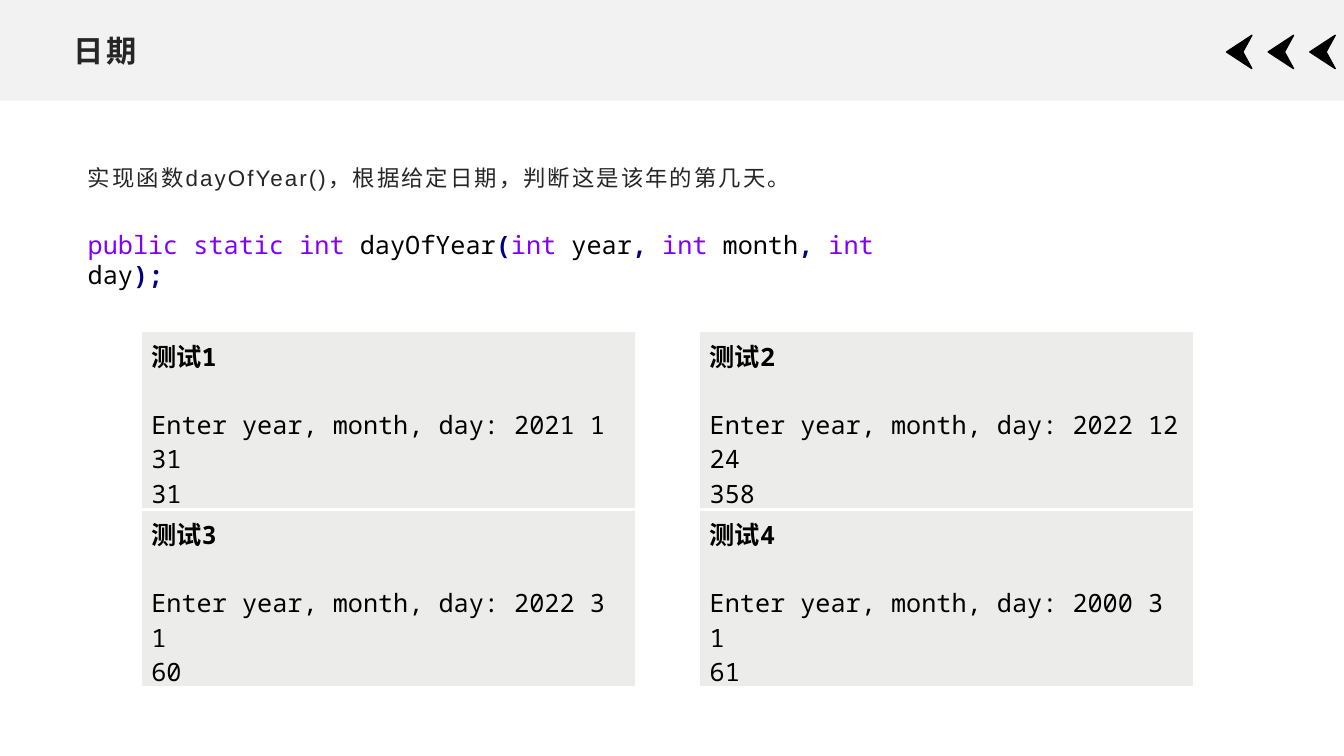
"""Build the slide that sets the day-of-year exercise with its four tests."""
from dataclasses import dataclass

from lxml.etree import SubElement
from pptx import Presentation
from pptx.dml.color import RGBColor
from pptx.enum.shapes import MSO_SHAPE
from pptx.enum.text import MSO_ANCHOR, MSO_AUTO_SIZE, PP_ALIGN
from pptx.oxml.ns import qn
from pptx.util import Cm, Pt


@dataclass(frozen=True)
class Theme:
    prose: str = "Arial"
    mono: str = "Noto Sans Mono"
    ink: RGBColor = RGBColor(0x26, 0x26, 0x26)
    black: RGBColor = RGBColor(0, 0, 0)
    keyword: RGBColor = RGBColor(0x80, 0, 0xFF)
    symbol: RGBColor = RGBColor(0, 0, 0x80)
    band: RGBColor = RGBColor(0xF2, 0xF2, 0xF2)
    panel: RGBColor = RGBColor(0xEC, 0xEC, 0xEA)
    border: str = "FFFFFF"
    title_size: Pt = Pt(21.6)
    task_size: Pt = Pt(16)
    code_size: Pt = Pt(18)


theme = Theme()


def set_font(paragraph, name, size, color, bold=False):
    """Format a whole paragraph."""
    font = paragraph.font
    font.name, font.size, font.bold = name, size, bold
    font.color.rgb = color


def fill_placeholder(holder, box, text, spacing):
    """Place a placeholder and return its only paragraph."""
    holder.left, holder.top, holder.width, holder.height = map(Cm, box)
    frame = holder.text_frame
    frame.auto_size = MSO_AUTO_SIZE.NONE
    frame.word_wrap = True
    paragraph = frame.paragraphs[0]
    run = paragraph.add_run()
    run.text = text
    run._r.get_or_add_rPr().set("spc", spacing)
    return paragraph


presentation = Presentation()
presentation.slide_width, presentation.slide_height = Cm(33.87), Cm(19.05)
slide = presentation.slides.add_slide(presentation.slide_layouts[1])
shapes = slide.shapes

band = shapes.add_shape(MSO_SHAPE.RECTANGLE, 0, 0, presentation.slide_width, Cm(2.54))
band.shadow.inherit = False
band.fill.solid()
band.fill.fore_color.rgb = theme.band
band.line.fill.background()
shapes._spTree.insert(2, band._element)

arrows = shapes.add_group_shape()
for step in range(3):
    tip = 30.91 + step * 1.05
    outline = arrows.shapes.build_freeform(Cm(tip + 0.64), Cm(1.73))
    corners = [(tip, 1.31), (tip + 0.64, 0.89), (tip + 0.41, 1.31)]
    outline.add_line_segments([(Cm(x), Cm(y)) for x, y in corners], close=True)
    arrow = outline.convert_to_shape()
    arrow.shadow.inherit = False
    arrow.fill.solid()
    arrow.fill.fore_color.rgb = theme.black
    arrow.line.color.rgb = theme.black
    arrow.line.width = Pt(1)

heading = fill_placeholder(shapes.title, (1.6, 0.66, 30.66, 1.22), "日期", "200")
heading.alignment = PP_ALIGN.LEFT
shapes.title.text_frame.vertical_anchor = MSO_ANCHOR.MIDDLE
set_font(heading, theme.prose, theme.title_size, theme.ink, bold=True)

task = fill_placeholder(
    slide.placeholders[1], (1.96, 3.81, 19.13, 1.35),
    "实现函数dayOfYear()，根据给定日期，判断这是该年的第几天。", "150")
task.line_spacing = 1.3
task.space_before, task.space_after = Pt(0), Pt(10)
task_properties = task._p.get_or_add_pPr()
task_properties.set("marL", "0")
task_properties.set("indent", "0")
SubElement(task_properties, qn("a:buNone"))
set_font(task, theme.prose, theme.task_size, theme.ink)

signature_frame = shapes.add_textbox(Cm(1.96), Cm(5.66), Cm(21.03), Cm(1.02)).text_frame
signature_frame.word_wrap = True
signature_frame.auto_size = MSO_AUTO_SIZE.SHAPE_TO_FIT_TEXT
signature = signature_frame.paragraphs[0]
set_font(signature, theme.mono, theme.code_size, theme.black)
tokens = ["public", " ", "static", " ", "int", " dayOfYear", "(", "int", " year", ",",
          " ", "int", " month", ",", " ", "int", " day", ");"]
for token in tokens:
    run = signature.add_run()
    run.text = token
    if token in ("public", "static", "int"):
        run.font.color.rgb = theme.keyword
    elif token in ("(", ",", ");"):
        run.font.color.rgb = theme.symbol
        run.font.bold = True

tests = [("2021 1 31", "31"), ("2022 12 24", "358"), ("2022 3 1", "60"), ("2000 3 1", "61")]
panel_height = 4.49
for index, (date, answer) in enumerate(tests):
    row, column = divmod(index, 2)
    panel = shapes.add_table(1, 1, Cm(3.56 + column * 14.07), Cm(8.36 + row * panel_height),
                             Cm(12.45), Cm(panel_height)).table
    panel.first_row = panel.horz_banding = False
    cell = panel.cell(0, 0)
    cell_properties = cell._tc.get_or_add_tcPr()
    for side, width in (("L", Pt(1)), ("R", Pt(1)), ("T", Pt(1)), ("B", Pt(3))):
        edge = SubElement(cell_properties, qn(f"a:ln{side}"), w=str(width))
        edge_fill = SubElement(edge, qn("a:solidFill"))
        SubElement(edge_fill, qn("a:srgbClr"), val=theme.border)
    cell.fill.solid()
    cell.fill.fore_color.rgb = theme.panel
    cell.text = f"测试{index + 1}\nEnter year, month, day: {date}\n{answer}"
    for number, line in enumerate(cell.text_frame.paragraphs):
        set_font(line, theme.mono, theme.code_size, theme.black, bold=number == 0)
    cell.text_frame.paragraphs[0].space_after = Pt(24.5)

presentation.save("out.pptx")
